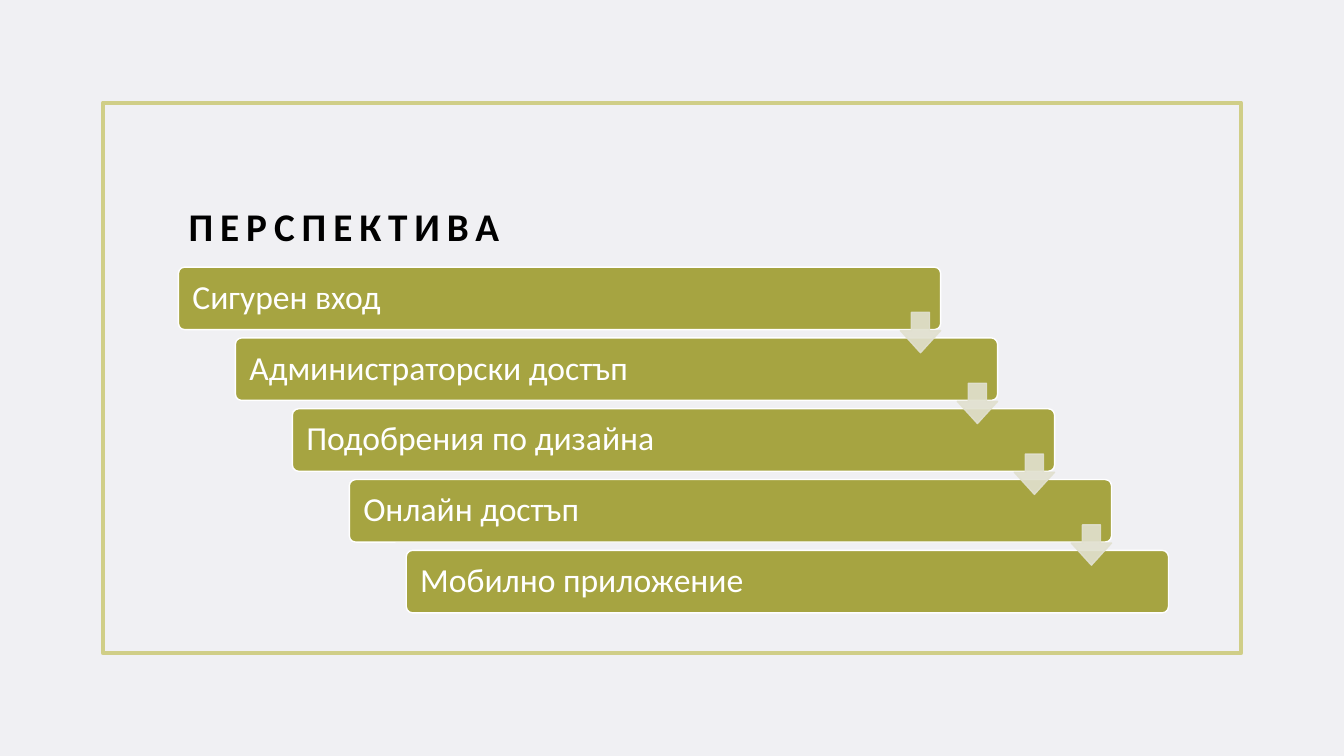
from dataclasses import dataclass
from pptx import Presentation
from pptx.dml.color import RGBColor
from pptx.enum.shapes import MSO_SHAPE
from pptx.enum.text import MSO_ANCHOR, MSO_AUTO_SIZE, PP_ALIGN
from pptx.oxml.ns import qn
from pptx.util import Inches, Pt
from lxml.etree import SubElement


@dataclass(frozen=True)
class Theme:
    back: str = "F0F0F3"
    frame: str = "D0CE87"
    bar: str = "A6A441"
    arrow: str = "E1E0CF"
    ink: str = "000000"
    light: str = "FFFFFF"
    font: str = "Calibri"
    head: int = 28
    body: int = 24


THEME = Theme()
STEPS = ["Сигурен вход", "Администраторски достъп", "Подобрения по дизайна",
         "Онлайн достъп", "Мобилно приложение"]


def apply(target, values):
    for name, value in values.items():
        setattr(target, name, value)


def write(frame, text, size, color, bold, spacing, layout):
    apply(frame, {"word_wrap": True, "auto_size": MSO_AUTO_SIZE.NONE, **layout})
    par = frame.paragraphs[0]
    apply(par, {"alignment": PP_ALIGN.LEFT, "line_spacing": spacing})
    run = par.add_run()
    run.text = text
    apply(run.font, {"name": THEME.font, "size": Pt(size), "bold": bold})
    run.font.color.rgb = RGBColor.from_string(color)
    return run


def draw(slide, kind, box, line, width, fill=None, adjust=()):
    shape = slide.shapes.add_shape(kind, *map(Inches, box))
    shape.shadow.inherit = False
    for index, value in enumerate(adjust):
        shape.adjustments[index] = value
    shape.line.color.rgb = RGBColor.from_string(line)
    shape.line.width = Pt(width)
    if fill:
        shape.fill.solid()
        shape.fill.fore_color.rgb = RGBColor.from_string(fill)
    else:
        shape.fill.background()
    return shape


def fade(shape, percent):
    """Set the opacity of the fill and the line."""
    for color in shape._element.spPr.iter(qn("a:srgbClr")):
        SubElement(color, qn("a:alpha"), val=str(percent * 1000))


def add_title(slide, box, text):
    title = slide.shapes.title
    left, top, width, height = map(Inches, box)
    apply(title, {"left": left, "top": top, "width": width, "height": height})
    run = write(title.text_frame, text, THEME.head, THEME.ink, True, 1.2,
                {"vertical_anchor": MSO_ANCHOR.BOTTOM})
    run._r.get_or_add_rPr().set("spc", "500")


def add_stairs(slide, box, steps):
    """Fill the box with bars stepping down to the right, linked by arrows."""
    left, top, width, height = box
    long, tall, side = 7.56, 0.62, 0.4
    across = (width - long) / (len(steps) - 1)
    down = (height - tall) / (len(steps) - 1)
    spots = [(left + i * across, top + i * down) for i in range(len(steps))]
    inset = {"vertical_anchor": MSO_ANCHOR.MIDDLE, "margin_left": Inches(0.12)}
    for (x, y), text in zip(spots, steps):
        bar = draw(slide, MSO_SHAPE.ROUNDED_RECTANGLE, (x, y, long, tall),
                   THEME.light, 1, THEME.bar, [0.1])
        write(bar.text_frame, text, THEME.body, THEME.light, False, 0.9, inset)
    for x, y in spots[:-1]:
        arrow = draw(slide, MSO_SHAPE.DOWN_ARROW,
                     (x + long - side, y + 0.45, side, side),
                     THEME.arrow, 1, THEME.arrow, [0.45, 0.55])
        fade(arrow, 90)


def main():
    deck = Presentation()
    apply(deck, {"slide_width": Inches(13.33), "slide_height": Inches(7.5)})
    slide = deck.slides.add_slide(deck.slide_layouts.get_by_name("Title Only"))
    slide.background.fill.solid()
    slide.background.fill.fore_color.rgb = RGBColor.from_string(THEME.back)
    draw(slide, MSO_SHAPE.RECTANGLE, (1.02, 1.02, 11.29, 5.46), THEME.frame, 3)
    add_title(slide, (1.77, 1.35, 9.82, 1.17), "ПЕРСПЕКТИВА")
    add_stairs(slide, (1.77, 2.65, 9.82, 3.43), STEPS)
    deck.save("out.pptx")


if __name__ == "__main__":
    main()
